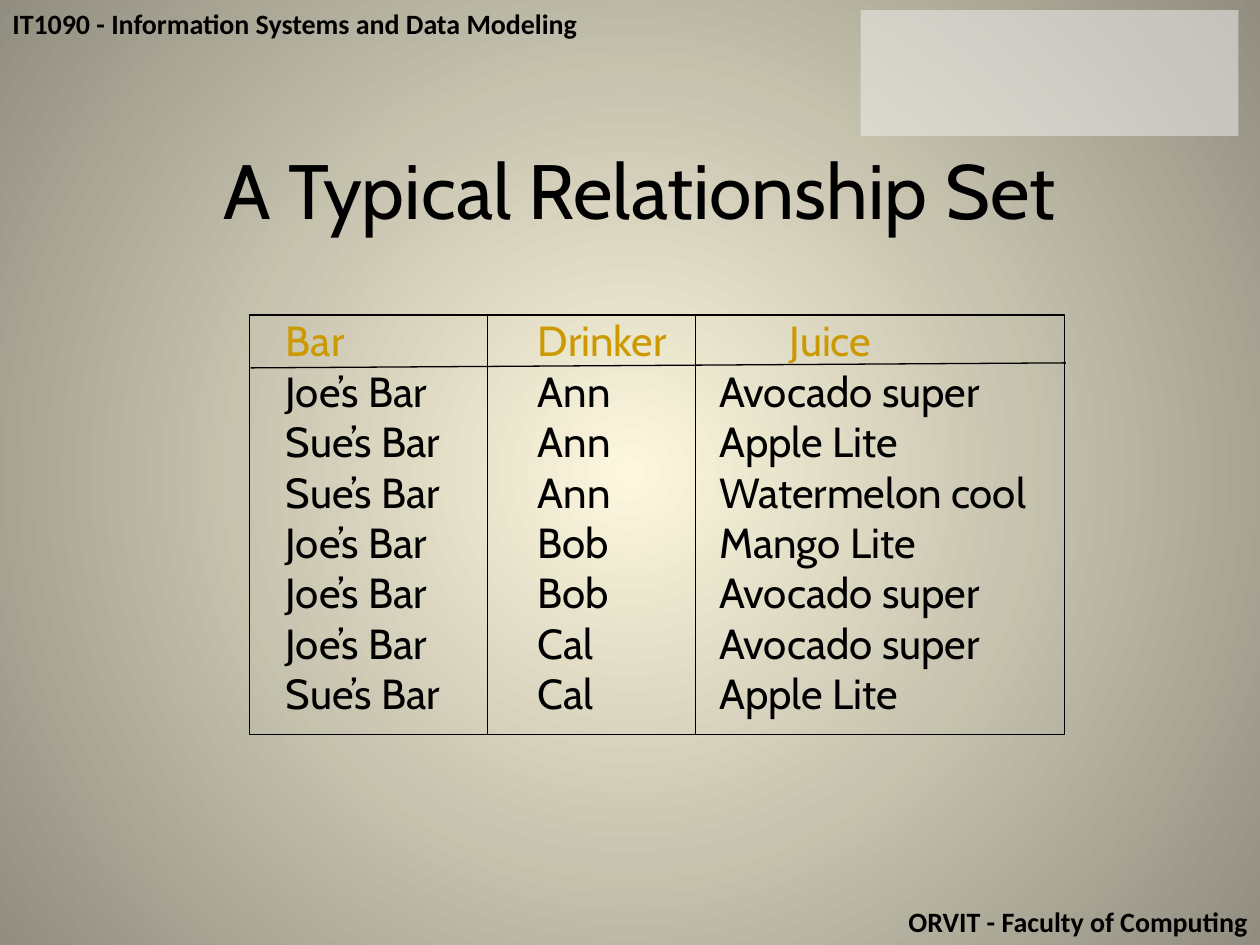
import pptx
import pptx.util
import pptx.dml.color
import pptx.enum.shapes
import pptx.enum.text
import pptx.oxml
import pptx.oxml.ns
import lxml.etree

Inches = pptx.util.Inches
Pt = pptx.util.Pt
Align = pptx.enum.text.PP_ALIGN
qn = pptx.oxml.ns.qn

BLACK = "000000"
GOLD = "CC9900"
ROWS = [
    ("Bar", "Drinker", "Juice"),
    ("Joe’s Bar", "Ann", "Avocado super"),
    ("Sue’s Bar", "Ann", "Apple Lite"),
    ("Sue’s Bar", "Ann", "Watermelon cool"),
    ("Joe’s Bar", "Bob", "Mango Lite"),
    ("Joe’s Bar", "Bob", "Avocado super"),
    ("Joe’s Bar", "Cal", "Avocado super"),
    ("Sue’s Bar", "Cal", "Apple Lite"),
]


def color(value):
    return pptx.dml.color.RGBColor.from_string(value)


def add_text(slide, box, lines, font, size, align=Align.LEFT, bold=False):
    frame = slide.shapes.add_textbox(*map(Inches, box)).text_frame
    frame.word_wrap = True
    for i, line in enumerate(lines):
        par = frame.paragraphs[0] if i == 0 else frame.add_paragraph()
        par.text = line
        par.alignment = align
        par.font.name = font
        par.font.size = Pt(size)
        par.font.bold = bold
        par.font.color.rgb = color(BLACK)
    return frame


def add_rect(slide, box):
    kind = pptx.enum.shapes.MSO_SHAPE.RECTANGLE
    rect = slide.shapes.add_shape(kind, *map(Inches, box))
    rect.shadow.inherit = False
    return rect


def add_line(slide, *ends):
    kind = pptx.enum.shapes.MSO_CONNECTOR.STRAIGHT
    line = slide.shapes.add_connector(kind, *map(Inches, ends))
    line.line.color.rgb = color(BLACK)
    line.line.width = Pt(0.75)
    props = line._element.spPr
    lxml.etree.SubElement(props, qn("a:effectLst"))


def set_tabs(par, stops):
    props = par._p.get_or_add_pPr()
    tabs = lxml.etree.Element(qn("a:tabLst"))
    for stop in stops:
        lxml.etree.SubElement(tabs, qn("a:tab"), pos=str(Inches(stop)), algn="l")
    props.insert_element_before(tabs, "a:defRPr", "a:extLst")


def paint_back(slide):
    fill = slide.background.fill
    fill.gradient()
    for stop, place, shade in zip(fill.gradient_stops, (0, 1), ("FCF7DD", "918E81")):
        stop.position = place
        stop.color.rgb = color(shade)
    grad = slide._element.find(".//" + qn("a:gradFill"))
    grad.remove(grad.find(qn("a:lin")))
    ring = lxml.etree.SubElement(grad, qn("a:path"), path="circle")
    sides = dict.fromkeys("ltrb", "50000")
    lxml.etree.SubElement(ring, qn("a:fillToRect"), **sides)


def add_bar(slide, box, text, align):
    add_text(slide, box, [text], "Calibri", 16, align, True)


def add_badge(slide, box):
    rect = add_rect(slide, box)
    rect.fill.solid()
    rect.fill.fore_color.rgb = color("F2F2F2")
    rect.line.fill.background()
    tint = rect._element.spPr.find(".//" + qn("a:srgbClr"))
    lxml.etree.SubElement(tint, qn("a:alpha"), val="50000")


def add_title(slide, box):
    add_text(slide, box, ["A Typical Relationship Set"], "Cabin", 44, Align.CENTER)


def add_set(slide, box):
    left, top, width, height = box
    lines = ["\t".join(row) for row in ROWS]
    area = (left + 0.19, top - 0.05, width - 0.12, height)
    pars = add_text(slide, area, lines, "Cabin", 24).paragraphs
    pars[0].font.color.rgb = color(GOLD)
    set_tabs(pars[0], (2, 4))
    for par in pars[1:]:
        set_tabs(par, (2, 3.44))
    frame = add_rect(slide, box)
    frame.fill.background()
    frame.line.color.rgb = color(BLACK)
    frame.line.width = Pt(0.75)
    add_line(slide, left + 0.01, top + 0.42, left + width + 0.01, top + 0.38)
    for gap in (1.89, 3.54):
        add_line(slide, left + gap, top, left + gap, top + height)


def main():
    deck = pptx.Presentation()
    deck.slide_width = Inches(10)
    deck.slide_height = Inches(7.5)
    slide = deck.slides.add_slide(deck.slide_layouts[6])
    paint_back(slide)
    add_bar(slide, (0, 0, 10, 0.37), "IT1090 - Information Systems and Data Modeling", Align.LEFT)
    add_bar(slide, (0, 7.13, 10, 0.37), "ORVIT - Faculty of Computing", Align.RIGHT)
    add_badge(slide, (6.83, 0.08, 3, 1))
    add_title(slide, (0.77, 1.08, 8.62, 1.08))
    add_set(slide, (1.98, 2.5, 6.47, 3.33))
    deck.save("out.pptx")


if __name__ == "__main__":
    main()
